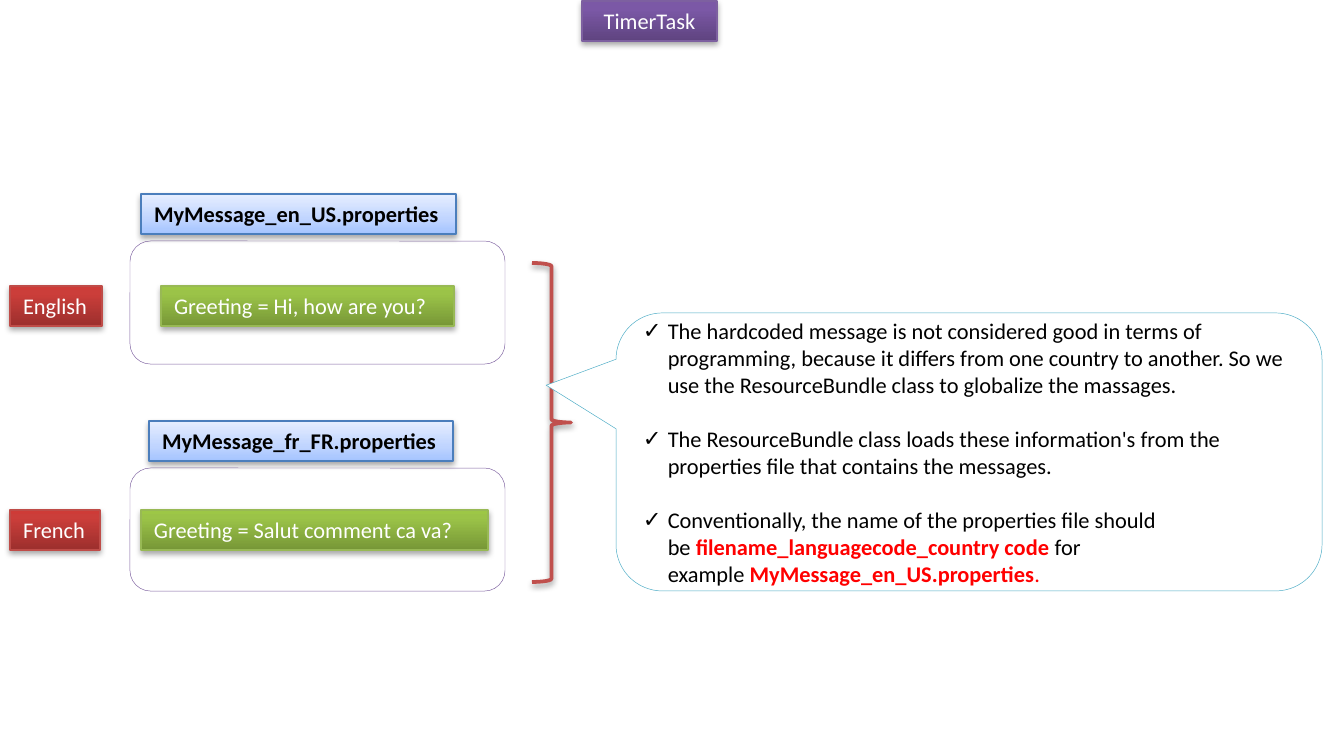
from copy import deepcopy

from lxml import etree
from pptx import Presentation
from pptx.dml.color import RGBColor
from pptx.enum.shapes import MSO_SHAPE
from pptx.enum.text import MSO_ANCHOR, PP_ALIGN
from pptx.oxml.ns import qn
from pptx.util import Pt

RECT = MSO_SHAPE.RECTANGLE
ROUNDED = MSO_SHAPE.ROUNDED_RECTANGLE
BRACE = MSO_SHAPE.RIGHT_BRACE
CALLOUT = MSO_SHAPE.ROUNDED_RECTANGULAR_CALLOUT
LEFT, CENTER = PP_ALIGN.LEFT, PP_ALIGN.CENTER
MIDDLE = MSO_ANCHOR.MIDDLE

EMU_PER_PX = 9144000 / 1344
FONT, SIZE = "Calibri", Pt(12)
PLATE_HEIGHT, PADDING, BULLET_INDENT = 40, 13, 25
NBSP = chr(160)

COLORS = {
    "white": "FFFFFF", "black": "000000", "emphasis": "FF0000",
    "panel_line": "8064A2", "brace": "C0504D", "callout_line": "4BACC6",
}
PLATES = {
    "purple": {"line": "7D60A0", "text": "white",
               "stops": [(0, "5F4480"), (0.8, "7B58A6"), (1, "7C57A8")]},
    "green": {"line": "98B955", "text": "white",
              "stops": [(0, "779737"), (0.8, "9BC348"), (1, "9DC746")]},
    "red": {"line": "BF4C48", "text": "white",
            "stops": [(0, "9C2F2D"), (0.8, "CB3E3A"), (1, "CE3B37")]},
    "blue": {"line": "4B7EBC", "text": "black",
             "stops": [(0, "A4C4FF"), (0.35, "BFD4FF"), (1, "E6EEFF")]},
}

BUNDLES = [
    {"top": 194, "language": ("English", 92),
     "file": ("MyMessage_en_US.properties", 131, 315),
     "greeting": ("Greeting = Hi, how are you?", 151, 293), "row": 92},
    {"top": 421, "language": ("French", 90),
     "file": ("MyMessage_fr_FR.properties", 139, 304),
     "greeting": ("Greeting = Salut comment ca va?", 131, 347), "row": 89},
]
NOTES = [
    [("The hardcoded message is not considered good in terms of programming, "
      "because it differs from one country to another. So we use the "
      "ResourceBundle class to globalize the massages.", "black", False)],
    [("The ResourceBundle class loads these information's from the "
      "properties file that contains the messages.", "black", False)],
    [(f"Conventionally, the name of the properties file should be{NBSP}", "black", False),
     (f"filename_languagecode_country{NBSP}code ", "emphasis", True),
     (f"for example{NBSP}", "black", False),
     ("MyMessage_en_US.properties", "emphasis", True),
     (".", "emphasis", False)],
]


def px(length):
    """Convert pixels to EMU."""
    return round(length * EMU_PER_PX)


def add_outline(slide, preset, box, line, width):
    """Add a preset shape with a plain line and no shadow."""
    shape = slide.shapes.add_shape(preset, *map(px, box))
    shape.shadow.inherit = False
    shape.line.color.rgb = RGBColor.from_string(line)
    shape.line.width = Pt(width)
    return shape


def fill_white(shape):
    """Fill a shape with white."""
    shape.fill.solid()
    shape.fill.fore_color.rgb = RGBColor.from_string(COLORS["white"])


def add_shadow(shape, opacity):
    """Give a shape a soft shadow straight below it."""
    effects = shape._element.spPr.find(qn("a:effectLst"))
    shadow = etree.SubElement(effects, qn("a:outerShdw"), blurRad="40000",
                              dist="22000", dir="5400000", rotWithShape="0")
    black = etree.SubElement(shadow, qn("a:srgbClr"), val=COLORS["black"])
    etree.SubElement(black, qn("a:alpha"), val=str(opacity * 1000))


def fill_gradient(shape, stops):
    """Fill a shape with a three-stop gradient running upwards."""
    shape.fill.gradient()
    shape.fill.gradient_angle = 90
    stop_list = next(shape._element.spPr.iter(qn("a:gsLst")))
    stop_list.append(deepcopy(stop_list[-1]))
    for stop, (position, color) in zip(shape.fill.gradient_stops, stops):
        stop.position = position
        stop.color.rgb = RGBColor.from_string(color)


def add_plate(slide, left, top, width, text, style, align=LEFT, bold=False):
    """Add a glossy one-line label."""
    look = PLATES[style]
    plate = add_outline(slide, RECT, (left, top, width, PLATE_HEIGHT), look["line"], 0.75)
    fill_gradient(plate, look["stops"])
    add_shadow(plate, 35)
    frame = plate.text_frame
    frame.word_wrap = True
    frame.margin_left = px(PADDING)
    frame.margin_right = px(PADDING) if align == CENTER else 0
    line = frame.paragraphs[0]
    line.text = text
    line.alignment = align
    line.font.name, line.font.size, line.font.bold = FONT, SIZE, bold
    line.font.color.rgb = RGBColor.from_string(COLORS[look["text"]])


def add_bundle(slide, left, bundle):
    """Add one language with its properties file and greeting."""
    top = bundle["top"]
    panel = add_outline(slide, ROUNDED, (left + 120, top + 47, 375, 123),
                        COLORS["panel_line"], 0.25)
    fill_white(panel)
    file_name, file_left, file_width = bundle["file"]
    add_plate(slide, left + file_left, top, file_width, file_name, "blue", bold=True)
    row = top + bundle["row"]
    language, language_width = bundle["language"]
    add_plate(slide, left, row, language_width, language, "red")
    greeting, greeting_left, greeting_width = bundle["greeting"]
    add_plate(slide, left + greeting_left, row, greeting_width, greeting, "green")


def add_brace(slide, box):
    """Add the brace that gathers both languages."""
    brace = add_outline(slide, BRACE, box, COLORS["brace"], 2)
    brace.fill.background()
    add_shadow(brace, 38)


def add_notes(slide, box):
    """Add the callout with the checked notes."""
    callout = add_outline(slide, CALLOUT, box, COLORS["callout_line"], 0.25)
    fill_white(callout)
    for index, value in enumerate((-0.599, -0.24, 0.167)):
        callout.adjustments[index] = value
    frame = callout.text_frame
    frame.word_wrap = True
    frame.vertical_anchor = MIDDLE
    for index, note in enumerate(NOTES):
        paragraph = frame.add_paragraph() if index else frame.paragraphs[0]
        paragraph.alignment = LEFT
        if index:
            paragraph.space_before = Pt(14.6)
        properties = paragraph._p.get_or_add_pPr()
        properties.set("marL", str(px(BULLET_INDENT)))
        properties.set("indent", str(-px(BULLET_INDENT)))
        etree.SubElement(properties, qn("a:buFont"), typeface=FONT)
        etree.SubElement(properties, qn("a:buChar"), char="✓")
        paragraph.font.name, paragraph.font.size = FONT, SIZE
        for text, color, bold in note:
            run = paragraph.add_run()
            run.text = text
            run.font.bold = bold
            run.font.color.rgb = RGBColor.from_string(COLORS[color])


def main():
    """Build the slide and save it."""
    deck = Presentation()
    deck.slide_width, deck.slide_height = px(1344), px(739)
    slide = deck.slides.add_slide(deck.slide_layouts[6])
    add_plate(slide, 582, 1, 135, "TimerTask", "purple", align=CENTER)
    for bundle in BUNDLES:
        add_bundle(slide, 10, bundle)
    add_brace(slide, (532, 263, 39, 319))
    add_notes(slide, (616, 313, 706, 278))
    deck.save("out.pptx")


if __name__ == "__main__":
    main()
